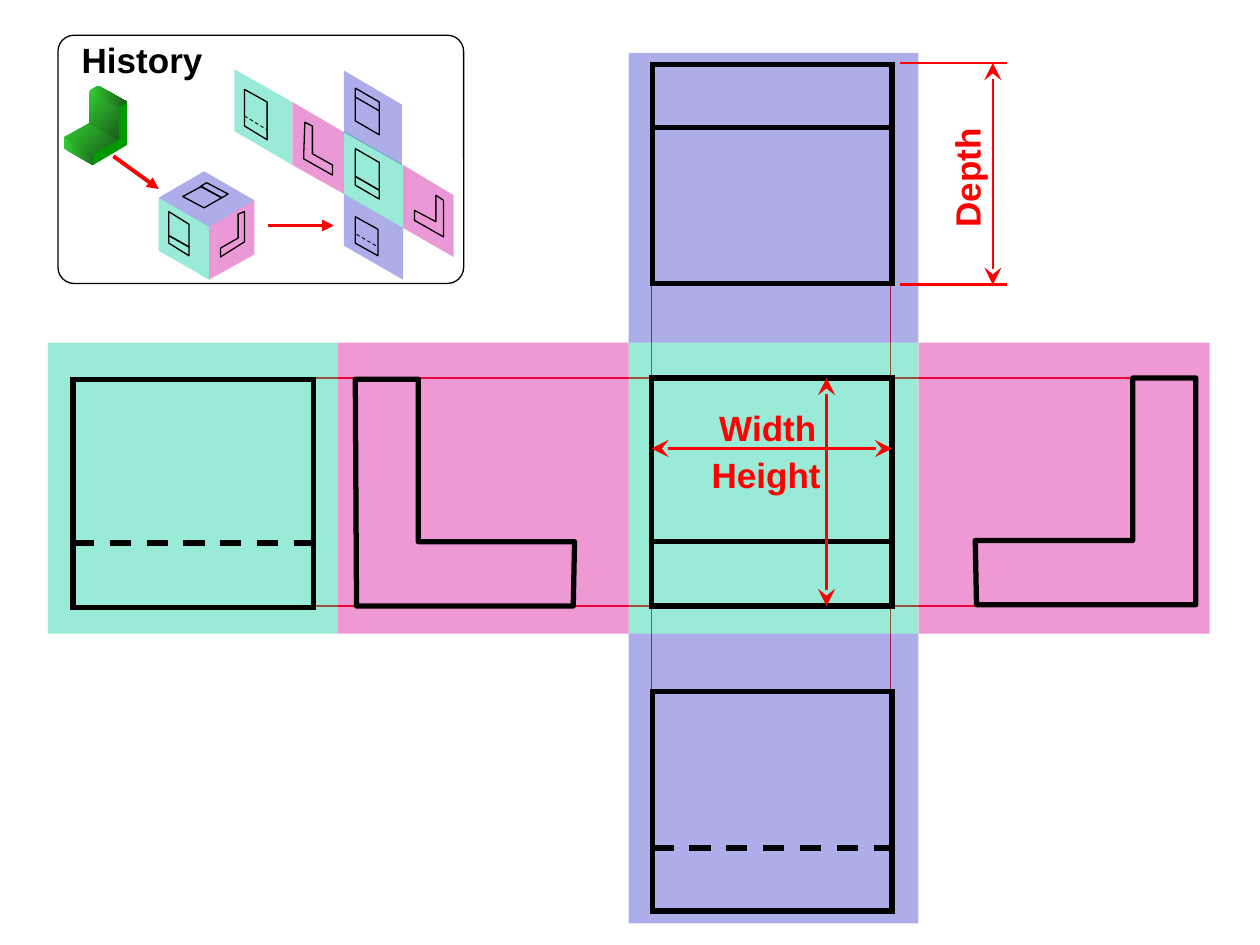
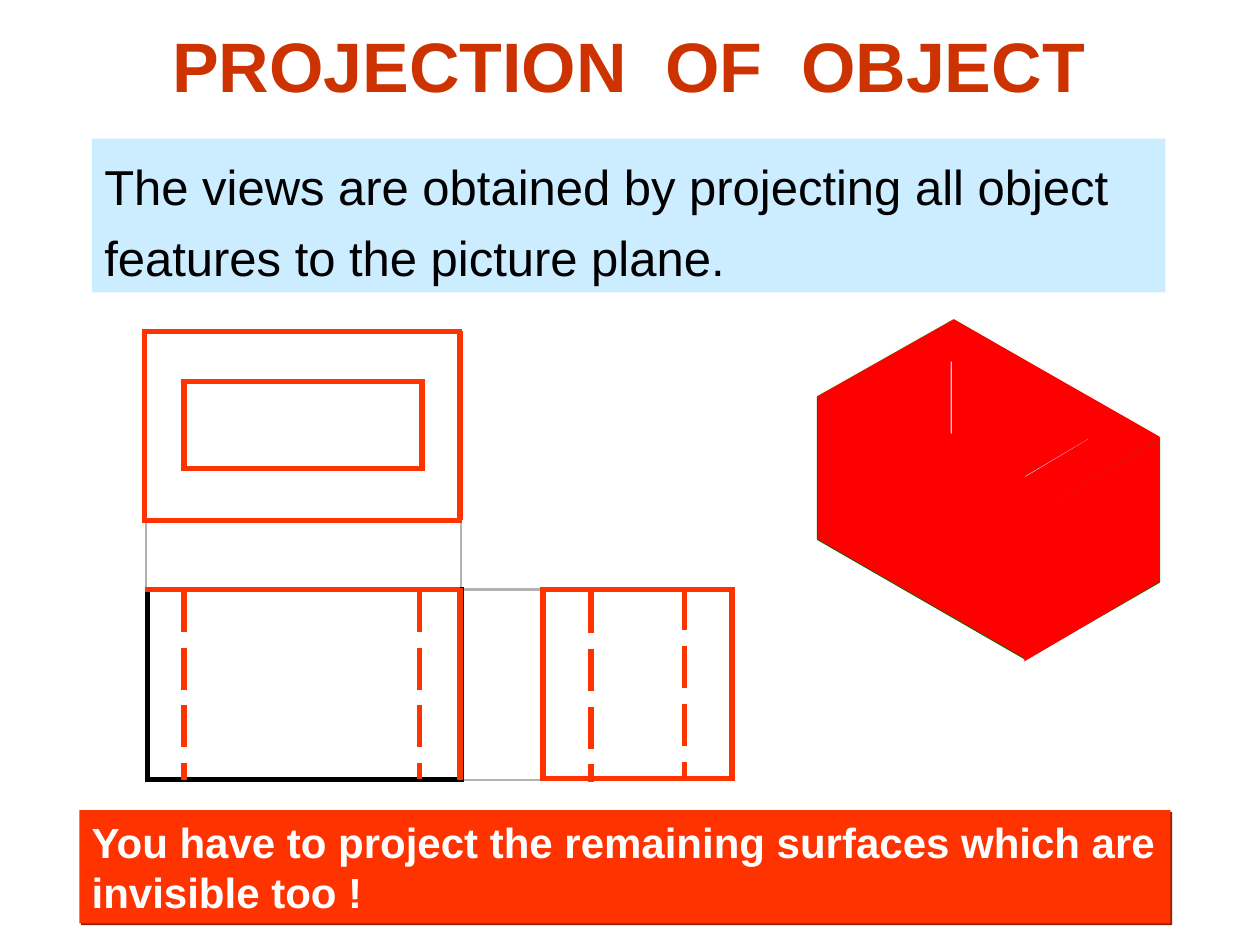
from lxml.etree import SubElement
from pptx import Presentation
from pptx.dml.color import RGBColor
from pptx.enum.dml import MSO_LINE
from pptx.enum.shapes import MSO_CONNECTOR, MSO_SHAPE
from pptx.enum.text import MSO_ANCHOR, MSO_AUTO_SIZE, PP_ALIGN
from pptx.oxml.ns import qn
from pptx.util import Pt

PX = 9144  # 100 px to the inch
FONT = "Arial"

BLACK = RGBColor(0x00, 0x00, 0x00)
WHITE = RGBColor(0xFF, 0xFF, 0xFF)
RED = RGBColor(0xFF, 0x00, 0x00)
ORANGE = RGBColor(0xFF, 0x33, 0x00)
RUST = RGBColor(0xCC, 0x33, 0x00)
BROWN = RGBColor(0x99, 0x1F, 0x00)
GRAY = RGBColor(0xB2, 0xB2, 0xB2)
SKY = RGBColor(0xCC, 0xEC, 0xFF)
LILAC = RGBColor(0xCC, 0xCC, 0xFF)
TEAL = RGBColor(0x00, 0xCC, 0x99)
PINK = RGBColor(0xD6, 0x00, 0x93)
ROSE = RGBColor(0xCC, 0x00, 0x99)
BLUE = RGBColor(0x33, 0x33, 0xCC)
GREEN = RGBColor(0x33, 0xCC, 0x33)
LEAF = RGBColor(0x00, 0x99, 0x00)
MOSS = RGBColor(0x1D, 0x72, 0x1D)
PINE = RGBColor(0x18, 0x5E, 0x18)
MINT = RGBColor(0x99, 0xFF, 0x99)
FERN = RGBColor(0x33, 0x99, 0x33)
DARK = RGBColor(0x00, 0x66, 0x00)
GRASS = RGBColor(0x00, 0x80, 0x00)

# Fold-out sheet: edges of its columns and rows, 230.5 px apart
COLS = [38 + n * 461 // 2 for n in range(5)]
ROWS = [42 + n * 461 // 2 for n in range(4)]
SHEET = [(2, 1, TEAL), (3, 1, PINK), (1, 1, PINK), (0, 1, TEAL),
         (2, 0, BLUE), (2, 2, BLUE)]

SIDES = [
    [(949, 480), (775, 480), (774, 429), (899, 429), (899, 300), (949, 300)],
    [(283, 481), (455, 481), (456, 430), (332, 430), (332, 301), (282, 301)],
]

# Small pictorial sheet and glass box in the History frame
PANES = [
    (TEAL, [(273, 104), (273, 154), (320, 181), (320, 131)]),
    (ROSE, [(320, 131), (320, 181), (360, 204), (360, 155)]),
    (ROSE, [(232, 81), (232, 131), (273, 154), (273, 105)]),
    (BLUE, [(320, 222), (273, 195), (273, 154), (320, 181)]),
    (TEAL, [(186, 55), (186, 104), (232, 131), (232, 81)]),
    (BLUE, [(319, 131), (273, 105), (273, 56), (319, 83)]),
    (TEAL, [(126, 157), (126, 199), (166, 222), (166, 180)]),
    (ROSE, [(166, 180), (166, 222), (202, 202), (202, 159)]),
    (BLUE, [(202, 159), (166, 180), (126, 157), (162, 136)]),
]
MARKS = [
    [(282, 118), (282, 140), (301, 151), (301, 129)],
    [(282, 140), (282, 147), (301, 158), (301, 151)],
    [(346, 155), (352, 159), (352, 188), (329, 175), (329, 167), (346, 176)],
    [(282, 96), (282, 70), (301, 81), (301, 107)],
    [(145, 156), (162, 165), (176, 157), (160, 148)],
    [(176, 157), (159, 148), (164, 145), (181, 154)],
    [(175, 204), (175, 197), (189, 189), (189, 170), (194, 168), (194, 192)],
    [(134, 168), (134, 187), (150, 196), (150, 178)],
    [(134, 187), (134, 193), (150, 203), (150, 196)],
    [(282, 193), (282, 172), (300, 182), (300, 203)],
    [(248, 122), (264, 131), (264, 139), (241, 126), (242, 97), (248, 100)],
    [(194, 100), (194, 71), (212, 81), (212, 111)],
]
SEAT = [  # end colour, clockwise angle, outline
    (MOSS, 0, [(74, 122), (51, 109), (51, 118), (74, 131)]),
    (PINE, 45, [(74, 122), (51, 109), (71, 98), (94, 111)]),
    (PINE, 45, [(94, 111), (71, 98), (71, 72), (94, 85)]),
    (PINE, 0, [(101, 81), (94, 85), (71, 72), (78, 68)]),
]

BLOCK = [  # fill, line, line width, outline
    (GREEN, GREEN, 1, [(649, 315), (815, 410), (919, 348), (757, 254)]),
    (MINT, DARK, 1, [(649, 315), (649, 428), (814, 523), (814, 410)]),
    (FERN, GRASS, 1, [(814, 410), (814, 523), (920, 462), (920, 348)]),
    (RED, None, 0, [(649, 315), (649, 428), (814, 523), (814, 411)]),
    (RED, None, 0, [(700, 313), (755, 282), (755, 345)]),
    (RED, LILAC, 0.75, [(755, 283), (755, 346), (813, 379), (867, 347)]),
    (RED, None, 0, [(813, 412), (813, 525), (920, 462), (920, 349)]),
    (RED, RED, 0.75, [(814, 411), (649, 315), (757, 254), (920, 347),
                      (864, 348), (751, 284), (700, 313), (814, 379),
                      (864, 349), (920, 348)]),
]


def paint(shape, fill, alpha=None):
    if fill is None:
        shape.fill.background()
        return
    shape.fill.solid()
    shape.fill.fore_color.rgb = fill
    if alpha:
        tint = shape._element.spPr.find(qn("a:solidFill"))[0]
        SubElement(tint, qn("a:alpha"), val=str(alpha * 1000))


def stroke(shape, color, width, dash=None, join="a:round"):
    if color is None:
        shape.line.fill.background()
        return
    shape.line.color.rgb = color
    shape.line.width = Pt(width)
    if dash:
        shape.line.dash_style = dash
    SubElement(shape._element.spPr.find(qn("a:ln")), qn(join))


def box(slide, x, y, w, h, fill=None, line=None, width=3, alpha=None,
        kind=MSO_SHAPE.RECTANGLE):
    shape = slide.shapes.add_shape(kind, x * PX, y * PX, w * PX, h * PX)
    shape.shadow.inherit = False
    paint(shape, fill, alpha)
    stroke(shape, line, width, join="a:miter")
    return shape


def shape_of(slide, points, fill=None, line=None, width=0.75, alpha=None):
    """Draw a closed outline through the points."""
    pen = slide.shapes.build_freeform(*points[0], scale=PX)
    pen.add_line_segments(points[1:], close=True)
    shape = pen.convert_to_shape()
    shape.shadow.inherit = False
    paint(shape, fill, alpha)
    stroke(shape, line, width)
    return shape


def shade(shape, end, angle):
    """Blend from green to the end colour; the angle runs clockwise."""
    shape.fill.gradient()
    shape.fill.gradient_angle = -angle % 360
    for stop, color in zip(shape.fill.gradient_stops, (GREEN, end)):
        stop.color.rgb = color


def rule(slide, x1, y1, x2, y2, color, width, dash=None, head=None, tail=None,
         size="med"):
    line = slide.shapes.add_connector(
        MSO_CONNECTOR.STRAIGHT, x1 * PX, y1 * PX, x2 * PX, y2 * PX)
    stroke(line, color, width, dash)
    props = line._element.spPr
    for tag, tip in (("a:headEnd", head), ("a:tailEnd", tail)):
        if tip:
            SubElement(props.find(qn("a:ln")), qn(tag), type=tip, w=size,
                       len=size)
    SubElement(props, qn("a:effectLst"))


def write(shape, lines, size, color, bold=True, wrap=False,
          align=PP_ALIGN.LEFT, space=None):
    frame = shape.text_frame
    frame.word_wrap = wrap
    frame.auto_size = MSO_AUTO_SIZE.SHAPE_TO_FIT_TEXT
    frame.vertical_anchor = MSO_ANCHOR.TOP
    for n, text in enumerate(lines):
        para = frame.add_paragraph() if n else frame.paragraphs[0]
        para.alignment = align
        if space:
            para.line_spacing = space
        run = para.add_run()
        run.text = text
        run.font.name = FONT
        run.font.size = Pt(size)
        run.font.bold = bold
        run.font.color.rgb = color


def label(slide, text, x, y, w, color=RED, turn=0):
    note = slide.shapes.add_textbox(x * PX, y * PX, w * PX, 44 * PX)
    note.rotation = turn
    write(note, [text], 20, color)


def view(slide, x, y, w, h, edge, dash=None):
    """Draw a rectangular view with one inner edge across it."""
    box(slide, x, y, w, h, line=BLACK)
    rule(slide, x, edge, x + w, edge, BLACK, 3, dash)


def span(slide, *ends):
    """Draw a dimension line with an arrowhead at each end."""
    rule(slide, *ends, RED, 1.5, head="stealth", tail="stealth", size="lg")


def draw_sheet(slide):
    for x in (707, 517):
        rule(slide, x, 548, x, 225, RED, 0.75)
    for y, end in ((481, 776), (300, 897)):
        rule(slide, end, y, 247, y, RED, 0.75)
    for col, row, color in SHEET:
        x, y = COLS[col], ROWS[row]
        box(slide, x, y, COLS[col + 1] - x, ROWS[row + 1] - y, color, alpha=40)
    view(slide, 517, 300, 191, 181, 430)
    view(slide, 518, 51, 190, 174, 101)
    view(slide, 518, 549, 190, 174, 673, MSO_LINE.DASH)
    view(slide, 58, 301, 191, 181, 431, MSO_LINE.DASH)
    for side in SIDES:
        shape_of(slide, side, line=BLACK, width=3)


def draw_sizes(slide):
    span(slide, 656, 300, 656, 481)
    label(slide, "Height", 555, 355, 110)
    span(slide, 517, 356, 708, 356)
    label(slide, "Width", 561, 318, 98)
    for y in (50, 226):
        rule(slide, 714, y, 799, y, RED, 1.5)
    label(slide, "Depth", 718, 119, 99, turn=270)
    span(slide, 788, 50, 788, 226)


def draw_story(slide):
    for color, points in PANES:
        shape_of(slide, points, color, alpha=40)
    for points in MARKS:
        shape_of(slide, points, line=BLACK)
    rule(slide, 282, 77, 301, 88, BLACK, 0.75)
    for ends in ((283, 186, 300, 196), (194, 92, 212, 103)):
        rule(slide, *ends, BLACK, 0.5, MSO_LINE.DASH)
    shape_of(slide, [(74, 122), (74, 131), (101, 115), (101, 81), (94, 85),
                     (94, 111)], LEAF)
    for end, angle, points in SEAT:
        shade(shape_of(slide, points), end, angle)
    frame = box(slide, 46, 28, 322, 197, line=BLACK, width=0.75,
                kind=MSO_SHAPE.ROUNDED_RECTANGLE)
    frame.adjustments[0] = 0.065
    label(slide, "History", 55, 26, 118, BLACK)
    for ends in ((90, 124, 126, 150), (213, 179, 265, 179)):
        rule(slide, *ends, RED, 2.25, tail="triangle")


def draw_block(slide):
    for fill, line, width, points in BLOCK:
        shape_of(slide, points, fill, line, width)


def draw_views(slide):
    for x, top in ((116, 375), (366, 377)):
        rule(slide, x, top + 107, x, top, GRAY, 1.5)
    for x, y in ((349, 468), (347, 619)):
        rule(slide, x, y, x + 107, y, GRAY, 1.5)
    box(slide, 117, 468, 249, 151, line=BLACK)
    for ends in ((115, 413, 365, 413), (431, 467, 431, 619)):
        rule(slide, *ends, BLACK, 3)
    for place in ((431, 468, 150, 150), (115, 263, 250, 150),
                  (146, 303, 189, 69)):
        box(slide, *place, line=ORANGE)
    for ends in ((365, 467, 365, 619), (365, 413, 365, 263),
                 (115, 468, 365, 468), (429, 468, 581, 468),
                 (146, 301, 146, 372), (144, 303, 335, 303)):
        rule(slide, *ends, ORANGE, 3)
    for x, top, end in ((146, 468, 619), (469, 469, 621), (543, 467, 618),
                        (333, 468, 618)):
        rule(slide, x, top, x, end, ORANGE, 3, MSO_LINE.LONG_DASH)


def draw_title(slide, text):
    title = slide.shapes.title
    title.left, title.top = 120 * PX, 13 * PX
    title.width, title.height = 758 * PX, 77 * PX
    write(title, [text], 40, RUST, align=PP_ALIGN.CENTER)


def draw_notes(slide):
    intro = box(slide, 73, 110, 852, 122, SKY)
    write(intro, ["The views are obtained by projecting all object features "
                  "to the picture plane."], 28, BLACK, False, True, space=1.2)
    hint = box(slide, 63, 643, 866, 90, ORANGE)
    write(hint, ["You have to project the remaining surfaces which are",
                 "invisible too !"], 24, WHITE)
    glow = hint._element.spPr.find(qn("a:effectLst"))
    cast = SubElement(glow, qn("a:outerShdw"), dist=str(Pt(1.4)),
                      dir="2700000", algn="ctr", rotWithShape="0")
    SubElement(cast, qn("a:srgbClr"), val=str(BROWN))


def main():
    deck = Presentation()
    deck.slide_width, deck.slide_height = 1000 * PX, 750 * PX

    slide = deck.slides.add_slide(deck.slide_layouts[6])
    draw_sheet(slide)
    draw_sizes(slide)
    draw_story(slide)

    slide = deck.slides.add_slide(deck.slide_layouts[5])
    draw_title(slide, "PROJECTION  OF  OBJECT")
    draw_block(slide)
    draw_views(slide)
    draw_notes(slide)

    deck.save("out.pptx")


if __name__ == "__main__":
    main()
